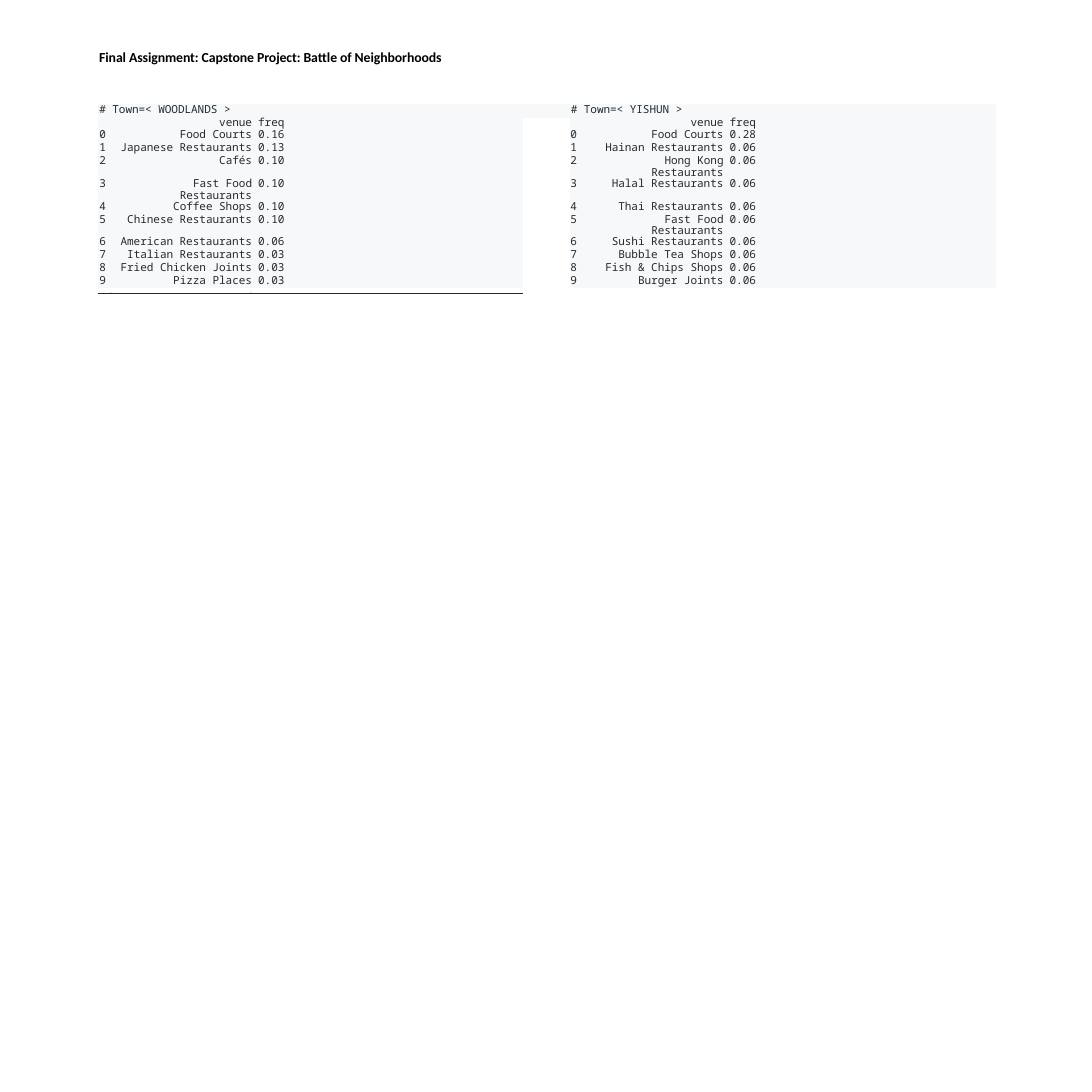
from lxml import etree
from pptx import Presentation
from pptx.dml.color import RGBColor
from pptx.enum.shapes import MSO_CONNECTOR, MSO_SHAPE
from pptx.enum.text import PP_ALIGN as ALIGN
from pptx.oxml.ns import qn
from pptx.util import Inches, Pt

BLACK = RGBColor(0x00, 0x00, 0x00)
INK = RGBColor(0x23, 0x29, 0x2D)
PALE = RGBColor(0xF6, 0xF8, 0xF9)
NO_STYLE = "{2D5ABB26-0587-4C30-8999-92F81FD0307C}"

WOODLANDS = [
    ("Food Courts", "0.16"), ("Japanese Restaurants", "0.13"),
    ("Cafés", "0.10"), ("Fast Food Restaurants", "0.10"),
    ("Coffee Shops", "0.10"), ("Chinese Restaurants", "0.10"),
    ("American Restaurants", "0.06"), ("Italian Restaurants", "0.03"),
    ("Fried Chicken Joints", "0.03"), ("Pizza Places", "0.03"),
]
YISHUN = [
    ("Food Courts", "0.28"), ("Hainan Restaurants", "0.06"),
    ("Hong Kong Restaurants", "0.06"), ("Halal Restaurants", "0.06"),
    ("Thai Restaurants", "0.06"), ("Fast Food Restaurants", "0.06"),
    ("Sushi Restaurants", "0.06"), ("Bubble Tea Shops", "0.06"),
    ("Fish & Chips Shops", "0.06"), ("Burger Joints", "0.06"),
]


def write(paragraph, text, font_name, size, color, left=0, right=0, tracking=0):
    paragraph.text = text
    properties = paragraph._p.get_or_add_pPr()
    properties.set("marL", str(Inches(left)))
    properties.set("marR", str(Inches(right)))
    properties.set("indent", "0")
    for run in paragraph.runs:
        run.font.name = font_name
        run.font.size = Pt(size)
        run.font.color.rgb = color
        run._r.get_or_add_rPr().set("spc", str(tracking))
    if not text:
        etree.SubElement(paragraph._p, qn("a:endParaRPr"), sz="600")


presentation = Presentation()
presentation.slide_width = presentation.slide_height = Inches(11)
slide = presentation.slides.add_slide(presentation.slide_layouts[6])

# Title
title = slide.shapes.add_textbox(Inches(0.99), Inches(0.48), Inches(3.54), Inches(0.19))
frame = title.text_frame
frame.word_wrap = True
frame.margin_left = frame.margin_right = frame.margin_bottom = 0
frame.margin_top = Inches(0.01)
heading = frame.paragraphs[0]
write(heading, "Final Assignment: Capstone Project: Battle of Neighborhoods",
      "Calibri", 10, BLACK, left=0.01, tracking=-5)
heading.space_before = Pt(0.9)
heading.runs[0].font.bold = True

# Table rows: town names, column heads, then ten ranked venues per town
rows = [["# Town=< WOODLANDS >", "", "", "# Town=< YISHUN >", "", "", ""],
        ["", "venue", "freq", "", "", "venue", "freq"]]
for rank, (woodlands, yishun) in enumerate(zip(WOODLANDS, YISHUN)):
    rows.append([str(rank), *woodlands, "", str(rank), *yishun])

column_widths = [0.17, 1.41, 2.7, 0.47, 0.17, 1.41, 2.71]
row_heights = [0.14] + [0.13] * 10 + [0.12]
line_heights = [8.9] + [8.2] * 3 + [8.3] + [8.2] * 6 + [7.8]

# Alignment, left and right indent, letter spacing of each column
column_formats = [
    (ALIGN.LEFT, 0.01, 0, 0), (ALIGN.RIGHT, 0.03, 0.03, -5), (ALIGN.LEFT, 0.03, 0, 0),
    (ALIGN.LEFT, 0, 0, 0),
    (ALIGN.CENTER, 0, 0.09, 0), (ALIGN.RIGHT, 0.03, 0.03, -5), (ALIGN.LEFT, 0.03, 0, 0),
]
town_formats = {0: (ALIGN.LEFT, 0.01, 0, -5), 3: (ALIGN.LEFT, 0.48, 0, -5)}

table_frame = slide.shapes.add_table(
    len(rows), len(column_widths), Inches(0.99), Inches(1.05), Inches(9.04), Inches(1.56))
table = table_frame.table
table.first_row = table.horz_banding = False
table._tbl.tblPr.find(qn("a:tableStyleId")).text = NO_STYLE
for column, width in zip(table.columns, column_widths):
    column.width = Inches(width)
for row, height in zip(table.rows, row_heights):
    row.height = Inches(height)

for r, values in enumerate(rows):
    for c, value in enumerate(values):
        cell = table.cell(r, c)
        cell.margin_left = cell.margin_right = cell.margin_top = cell.margin_bottom = 0
        if c == 3 and r > 0:
            cell.fill.background()
        else:
            cell.fill.solid()
            cell.fill.fore_color.rgb = PALE
        align, left, right, tracking = column_formats[c]
        if r == 0:
            align, left, right, tracking = town_formats.get(c, column_formats[c])
        paragraph = cell.text_frame.paragraphs[0]
        write(paragraph, value, "Noto Sans Mono", 8, INK, left, right, tracking)
        paragraph.alignment = align
        paragraph.line_spacing = Pt(line_heights[r])
table.cell(0, 0).merge(table.cell(0, 1))
table.cell(0, 3).merge(table.cell(0, 5))

# Rule below the left town, one segment per column
for start, end in [(0.99, 1.12), (1.13, 2.53), (2.53, 5.27)]:
    rule = slide.shapes.add_connector(
        MSO_CONNECTOR.STRAIGHT, Inches(start), Inches(2.96), Inches(end), Inches(2.96))
    rule.line.color.rgb = INK
    rule.line.width = Pt(0.96)
    etree.SubElement(rule._element.spPr, qn("a:effectLst"))

# Small joints between the segments
for left in (1.11, 2.52):
    joint = slide.shapes.add_shape(
        MSO_SHAPE.RECTANGLE, Inches(left), Inches(2.95), Inches(0.02), Inches(0.01))
    joint.shadow.inherit = False
    joint.fill.solid()
    joint.fill.fore_color.rgb = INK
    joint.line.fill.background()

presentation.save("out.pptx")
